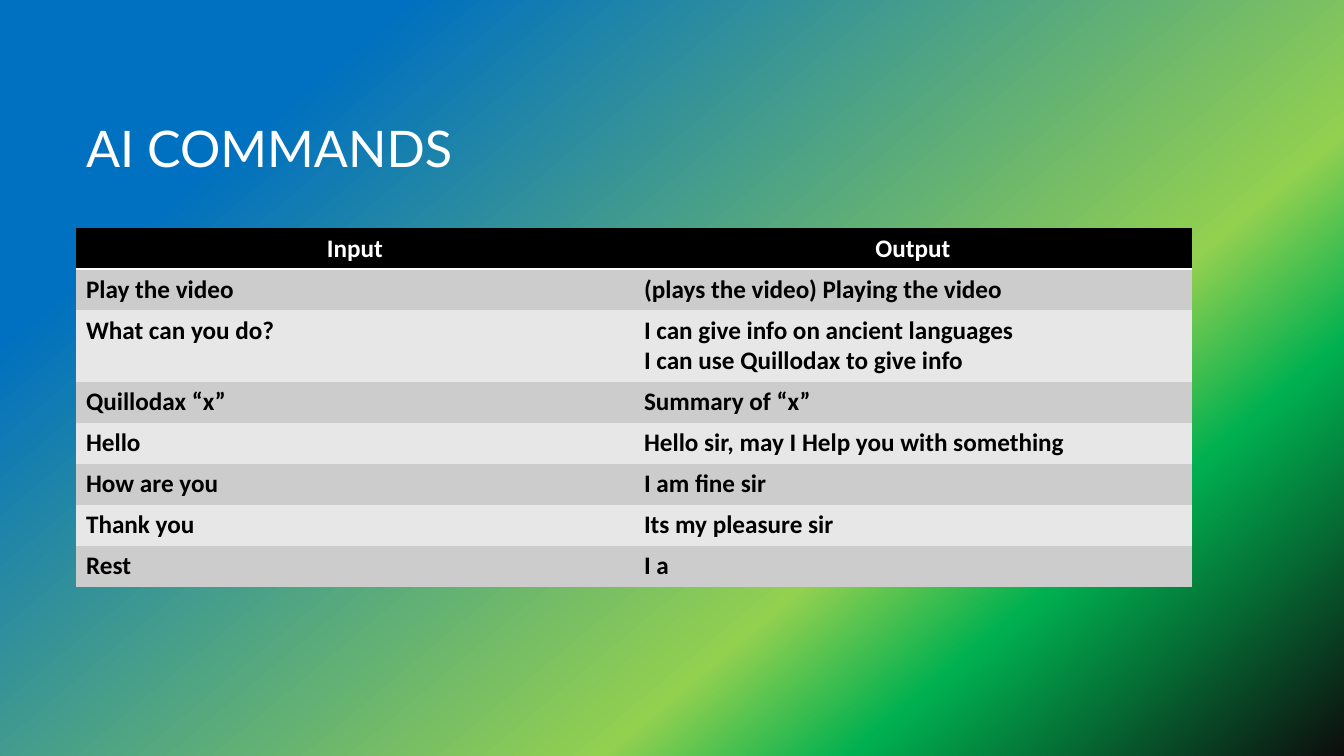
from copy import deepcopy

from lxml.etree import SubElement
from pptx import Presentation
from pptx.dml.color import RGBColor
from pptx.enum.text import MSO_ANCHOR as Anchor, PP_ALIGN as Align
from pptx.oxml.ns import qn
from pptx.util import Pt

TITLE = "AI COMMANDS"
HEADINGS = ("Input", "Output")
COMMANDS = [
    ("Play the video", "(plays the video) Playing the video"),
    ("What can you do?", "I can give info on ancient languages\nI can use Quillodax to give info"),
    ("Quillodax “x”", "Summary of “x”"),
    ("Hello", "Hello sir, may I Help you with something"),
    ("How are you", "I am fine sir"),
    ("Thank you", "Its my pleasure sir"),
    ("Rest", "I a"),
]

WHITE = RGBColor(0xFF, 0xFF, 0xFF)
BLACK = RGBColor(0x00, 0x00, 0x00)
DARK_BAND = RGBColor(0xCC, 0xCC, 0xCC)
LIGHT_BAND = RGBColor(0xE7, 0xE7, 0xE7)
BACKDROP = [
    (0.18, RGBColor(0x00, 0x70, 0xC0)),
    (0.67, RGBColor(0x92, 0xD0, 0x50)),
    (0.78, RGBColor(0x00, 0xB0, 0x50)),
    (1.0, RGBColor(0x0D, 0x0D, 0x0D)),
]
BACKDROP_ANGLE = 50
PLAIN_TABLE = "{2D5ABB26-0587-4C30-8999-92F81FD0307C}"

PX = 914400 / 100.8
LEFT, WIDTH = 76, 1116
TITLE_TOP, TABLE_TOP = 67, 228
ROW_HEIGHT, EXTRA_LINE = 41, 30


def px(length):
    return round(length * PX)


def paint_backdrop(slide):
    fill = slide.background.fill
    fill.gradient()
    fill.gradient_angle = 360 - BACKDROP_ANGLE
    stop_list = next(slide.element.iter(qn("a:gsLst")))
    for _ in range(len(BACKDROP) - len(stop_list)):
        stop_list.append(deepcopy(stop_list[0]))
    for stop, (position, color) in zip(fill.gradient_stops, BACKDROP):
        stop.position = position
        stop.color.rgb = color


def add_title(slide):
    title = slide.shapes.title
    title.left, title.top = px(LEFT), px(TITLE_TOP)
    title.width, title.height = px(WIDTH), px(TABLE_TOP - TITLE_TOP)
    frame = title.text_frame
    frame.text = TITLE
    frame.vertical_anchor = Anchor.MIDDLE
    heading = frame.paragraphs[0]
    heading.alignment = Align.LEFT
    font = heading.runs[0].font
    font.name, font.size, font.color.rgb = "Lato", Pt(36), WHITE


def underline_cell(cell):
    properties = cell._tc.get_or_add_tcPr()
    border = SubElement(properties, qn("a:lnB"), w=str(Pt(2)))
    color = SubElement(SubElement(border, qn("a:solidFill")), qn("a:srgbClr"))
    color.set("val", str(WHITE))
    properties.insert(0, border)


def fill_cell(cell, text, is_heading, band):
    cell.fill.solid()
    cell.fill.fore_color.rgb = band
    cell.text_frame.text = text
    for paragraph in cell.text_frame.paragraphs:
        paragraph.alignment = Align.CENTER if is_heading else Align.LEFT
        font = paragraph.runs[0].font
        font.name, font.size, font.bold = "Calibri", Pt(18), True
        font.color.rgb = WHITE if is_heading else BLACK
    if is_heading:
        underline_cell(cell)


def add_commands(slide):
    entries = [HEADINGS, *COMMANDS]
    heights = [ROW_HEIGHT + EXTRA_LINE * output.count("\n") for _, output in entries]
    frame = slide.shapes.add_table(
        len(entries), len(HEADINGS), px(LEFT), px(TABLE_TOP), px(WIDTH), px(sum(heights))
    )
    table = frame.table
    next(frame.element.iter(qn("a:tableStyleId"))).text = PLAIN_TABLE
    for index, (entry, height) in enumerate(zip(entries, heights)):
        table.rows[index].height = px(height)
        is_heading = index == 0
        band = BLACK if is_heading else DARK_BAND if index % 2 else LIGHT_BAND
        for column, text in enumerate(entry):
            fill_cell(table.cell(index, column), text, is_heading, band)


def main():
    deck = Presentation()
    deck.slide_width, deck.slide_height = px(1344), px(756)
    slide = deck.slides.add_slide(deck.slide_layouts[5])
    paint_backdrop(slide)
    add_title(slide)
    add_commands(slide)
    deck.save("out.pptx")


if __name__ == "__main__":
    main()
